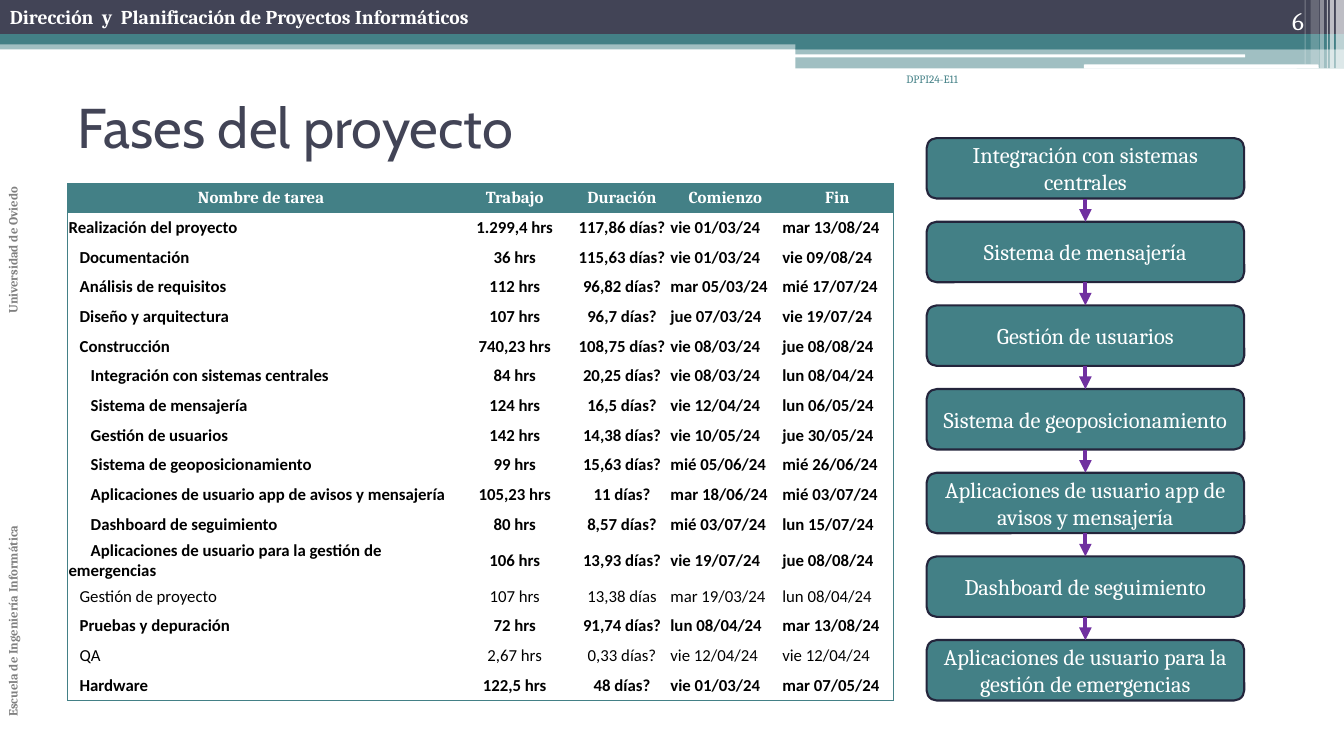
from dataclasses import dataclass
from itertools import pairwise

from lxml import etree
from pptx import Presentation
from pptx.dml.color import RGBColor
from pptx.enum.shapes import MSO_CONNECTOR, MSO_SHAPE
from pptx.enum.text import MSO_ANCHOR, PP_ALIGN
from pptx.oxml.ns import qn
from pptx.util import Inches, Pt

RECT, ROUNDED = MSO_SHAPE.RECTANGLE, MSO_SHAPE.ROUNDED_RECTANGLE
STRAIGHT = MSO_CONNECTOR.STRAIGHT
LEFT, CENTER, RIGHT = PP_ALIGN.LEFT, PP_ALIGN.CENTER, PP_ALIGN.RIGHT
TOP, MIDDLE, BOTTOM = MSO_ANCHOR.TOP, MSO_ANCHOR.MIDDLE, MSO_ANCHOR.BOTTOM

TEAL = RGBColor(0x43, 0x80, 0x86)
SLATE = RGBColor(0x42, 0x44, 0x56)
OUTLINE = RGBColor(0x24, 0x25, 0x3C)
PURPLE = RGBColor(0x70, 0x30, 0xA0)
GRAY = RGBColor(0x80, 0x80, 0x80)
WHITE = RGBColor(0xFF, 0xFF, 0xFF)
BLACK = RGBColor(0, 0, 0)


@dataclass(frozen=True)
class Band:
    left: float
    top: float
    width: float
    height: float
    color: RGBColor
    opacity: int = 100
    rounded: bool = False


@dataclass(frozen=True)
class Label:
    text: str
    left: float
    top: float
    width: float
    height: float
    size: int
    color: RGBColor
    font: str = "Cambria"
    bold: bool = False
    align: PP_ALIGN = LEFT
    anchor: MSO_ANCHOR = TOP
    tab: float = 0


@dataclass(frozen=True)
class Task:
    name: str
    work: str
    duration: str
    start: str
    end: str
    level: int = 1
    bold: bool = True


BANDS = [
    Band(0, 0.4, 13.33, 0.09, TEAL, 50),
    Band(0, 0, 13.33, 0.34, SLATE),
    Band(0, 0.34, 13.33, 0.1, TEAL),
    Band(7.89, 0.39, 5.44, 0.1, TEAL),
    Band(7.89, 0.48, 5.44, 0.2, TEAL, 50),
    Band(7.88, 0.54, 4.47, 0.03, WHITE, rounded=True),
    Band(10.75, 0.64, 2.33, 0.04, WHITE, rounded=True),
    Band(13.25, 0, 0.08, 0.68, WHITE, 65),
    Band(13.19, 0, 0.04, 0.68, WHITE, 65),
    Band(13.16, 0, 0.01, 0.68, WHITE, 60),
    Band(13.09, 0, 0.04, 0.68, WHITE, 40),
    Band(13, 0, 0.08, 0.64, WHITE, 20),
    Band(12.94, 0, 0.01, 0.64, WHITE, 30),
]
COURSE = Label("Dirección  y  Planificación de Proyectos Informáticos",
               0, 0, 8.24, 0.34, 14, WHITE, bold=True)
SCHOOL = Label("Escuela de Ingeniería Informática\tUniversidad de Oviedo",
               0, 0.54, 0.35, 6.67, 9, GRAY, bold=True, tab=4)
LABELS = [
    Label("DPPI24-E11", 7.67, 0.67, 1.93, 0.5, 8, TEAL, align=RIGHT),
    Label("6", 11.92, 0, 1.11, 0.4, 18, WHITE, align=RIGHT, anchor=BOTTOM),
    Label("Fases del proyecto", 0.67, 0.67, 12, 1.17, 40, SLATE, "Cabin", anchor=MIDDLE),
]
HEADINGS = Task("Nombre de tarea", "Trabajo", "Duración", "Comienzo", "Fin", 0)
TASKS = [
    Task("Realización del proyecto", "1.299,4 hrs", "117,86 días?", "vie 01/03/24", "mar 13/08/24", 0),
    Task("Documentación", "36 hrs", "115,63 días?", "vie 01/03/24", "vie 09/08/24"),
    Task("Análisis de requisitos", "112 hrs", "96,82 días?", "mar 05/03/24", "mié 17/07/24"),
    Task("Diseño y arquitectura", "107 hrs", "96,7 días?", "jue 07/03/24", "vie 19/07/24"),
    Task("Construcción", "740,23 hrs", "108,75 días?", "vie 08/03/24", "jue 08/08/24"),
    Task("Integración con sistemas centrales", "84 hrs", "20,25 días?", "vie 08/03/24", "lun 08/04/24", 2),
    Task("Sistema de mensajería", "124 hrs", "16,5 días?", "vie 12/04/24", "lun 06/05/24", 2),
    Task("Gestión de usuarios", "142 hrs", "14,38 días?", "vie 10/05/24", "jue 30/05/24", 2),
    Task("Sistema de geoposicionamiento", "99 hrs", "15,63 días?", "mié 05/06/24", "mié 26/06/24", 2),
    Task("Aplicaciones de usuario app de avisos y mensajería", "105,23 hrs", "11 días?",
         "mar 18/06/24", "mié 03/07/24", 2),
    Task("Dashboard de seguimiento", "80 hrs", "8,57 días?", "mié 03/07/24", "lun 15/07/24", 2),
    Task("Aplicaciones de usuario para la gestión de emergencias", "106 hrs", "13,93 días?",
         "vie 19/07/24", "jue 08/08/24", 2),
    Task("Gestión de proyecto", "107 hrs", "13,38 días", "mar 19/03/24", "lun 08/04/24", bold=False),
    Task("Pruebas y depuración", "72 hrs", "91,74 días?", "lun 08/04/24", "mar 13/08/24"),
    Task("QA", "2,67 hrs", "0,33 días?", "vie 12/04/24", "vie 12/04/24", bold=False),
    Task("Hardware", "122,5 hrs", "48 días?", "vie 01/03/24", "mar 07/05/24"),
]
COLUMN_WIDTHS = [3.84, 1.19, 0.94, 1.11, 1.11]
COLUMN_ALIGNS = [LEFT, CENTER, CENTER, LEFT, LEFT]
LEVEL_INDENT = 0.11
PHASE_TOP, PHASE_PITCH = 1.37, 0.83


def style_paragraph(paragraph, size: int, color: RGBColor, font: str, bold: bool, align: PP_ALIGN) -> None:
    paragraph.alignment = align
    paragraph.font.size = Pt(size)
    paragraph.font.name = font
    paragraph.font.bold = bold
    paragraph.font.color.rgb = color


def draw_band(slide, band: Band) -> None:
    shape = slide.shapes.add_shape(ROUNDED if band.rounded else RECT, Inches(band.left),
                                   Inches(band.top), Inches(band.width), Inches(band.height))
    shape.shadow.inherit = False
    shape.line.fill.background()
    shape.fill.solid()
    shape.fill.fore_color.rgb = band.color
    if band.opacity < 100:
        color = shape.fill._xPr.find(qn("a:solidFill"))[0]
        etree.SubElement(color, qn("a:alpha"), val=str(band.opacity * 1000))


def draw_label(slide, label: Label):
    box = slide.shapes.add_textbox(Inches(label.left), Inches(label.top),
                                   Inches(label.width), Inches(label.height))
    frame = box.text_frame
    frame.word_wrap = True
    frame.vertical_anchor = label.anchor
    paragraph = frame.paragraphs[0]
    paragraph.text = label.text
    if label.tab:
        tabs = etree.SubElement(paragraph._p.get_or_add_pPr(), qn("a:tabLst"))
        etree.SubElement(tabs, qn("a:tab"), pos=str(Inches(label.tab)), algn="l")
    style_paragraph(paragraph, label.size, label.color, label.font, label.bold, label.align)
    return box


def draw_phase(slide, name: str, top: float):
    phase = slide.shapes.add_shape(ROUNDED, Inches(9.19), Inches(top), Inches(3.15), Inches(0.6))
    phase.shadow.inherit = False
    phase.fill.solid()
    phase.fill.fore_color.rgb = TEAL
    phase.line.color.rgb = OUTLINE
    phase.line.width = Pt(1.5)
    phase.text_frame.word_wrap = True
    phase.text_frame.vertical_anchor = MIDDLE
    phase.text_frame.text = name
    style_paragraph(phase.text_frame.paragraphs[0], 16, WHITE, "Cambria", False, CENTER)
    return phase


def draw_arrow(slide, source, target) -> None:
    arrow = slide.shapes.add_connector(STRAIGHT, 0, 0, 0, 0)
    arrow.begin_connect(source, 2)
    arrow.end_connect(target, 0)
    arrow.line.color.rgb = PURPLE
    arrow.line.width = Pt(3)
    etree.SubElement(arrow.line._get_or_add_ln(), qn("a:tailEnd"), type="triangle")
    etree.SubElement(arrow._element.spPr, qn("a:effectLst"))


def set_borders(cell, visible: dict[str, bool]) -> None:
    properties = cell._tc.get_or_add_tcPr()
    for side, shown in visible.items():
        line = etree.SubElement(properties, qn(f"a:ln{side}"), w=str(Pt(0.75)))
        fill = etree.SubElement(line, qn("a:solidFill" if shown else "a:noFill"))
        if shown:
            etree.SubElement(fill, qn("a:srgbClr"), val=str(TEAL))


def draw_schedule(slide) -> None:
    rows = [HEADINGS, *TASKS]
    table = slide.shapes.add_table(len(rows), len(COLUMN_WIDTHS), Inches(0.67), Inches(1.82),
                                   Inches(sum(COLUMN_WIDTHS)), Inches(5)).table
    table.horz_banding = False
    for column, width in zip(table.columns, COLUMN_WIDTHS):
        column.width = Inches(width)
    for r, task in enumerate(rows):
        heading = r == 0
        values = [task.name, task.work, task.duration, task.start, task.end]
        for c, value in enumerate(values):
            cell = table.cell(r, c)
            cell.margin_left = cell.margin_right = cell.margin_top = cell.margin_bottom = Inches(0.01)
            cell.vertical_anchor = MIDDLE
            set_borders(cell, {"L": c == 0, "R": c == len(values) - 1,
                               "T": heading, "B": r == len(rows) - 1})
            if heading:
                cell.fill.solid()
                cell.fill.fore_color.rgb = TEAL
            else:
                cell.fill.background()
            cell.text = value
            paragraph = cell.text_frame.paragraphs[0]
            if c == 0 and task.level:
                paragraph._p.get_or_add_pPr().set("indent", str(Inches(LEVEL_INDENT * task.level)))
            style_paragraph(paragraph, 12, WHITE if heading else BLACK,
                            "Cambria" if heading else "Calibri", task.bold,
                            CENTER if heading else COLUMN_ALIGNS[c])


def main() -> None:
    deck = Presentation()
    deck.slide_width, deck.slide_height = Inches(13.33), Inches(7.5)
    slide = deck.slides.add_slide(deck.slide_layouts[6])
    for band in BANDS:
        draw_band(slide, band)
    draw_label(slide, COURSE)
    draw_label(slide, SCHOOL).text_frame._txBody.bodyPr.set("vert", "vert270")
    names = [task.name for task in TASKS if task.level == 2]
    phases = [draw_phase(slide, name, PHASE_TOP + i * PHASE_PITCH) for i, name in enumerate(names)]
    for source, target in pairwise(phases):
        draw_arrow(slide, source, target)
    draw_schedule(slide)
    for label in LABELS:
        draw_label(slide, label)
    deck.save("out.pptx")


if __name__ == "__main__":
    main()
